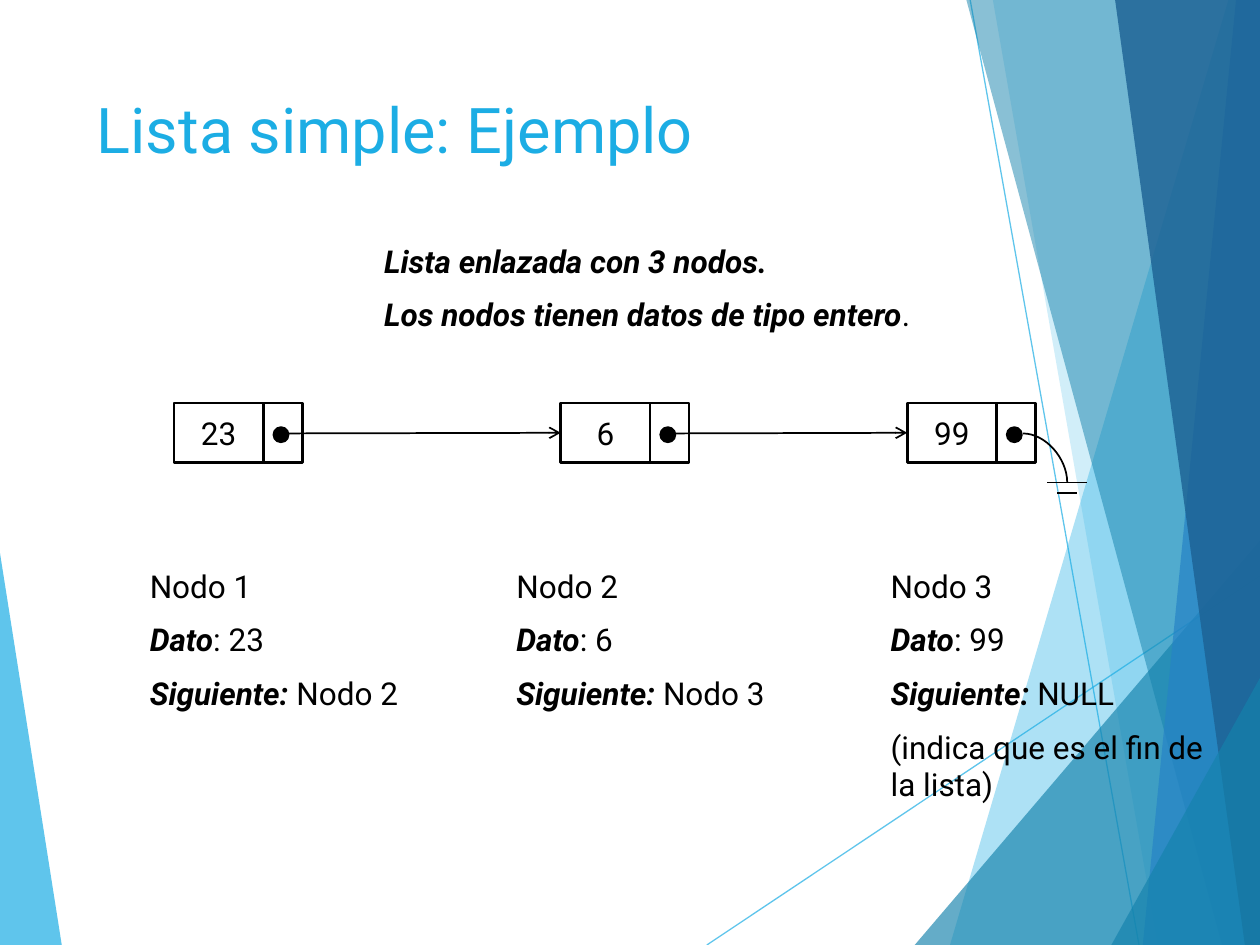
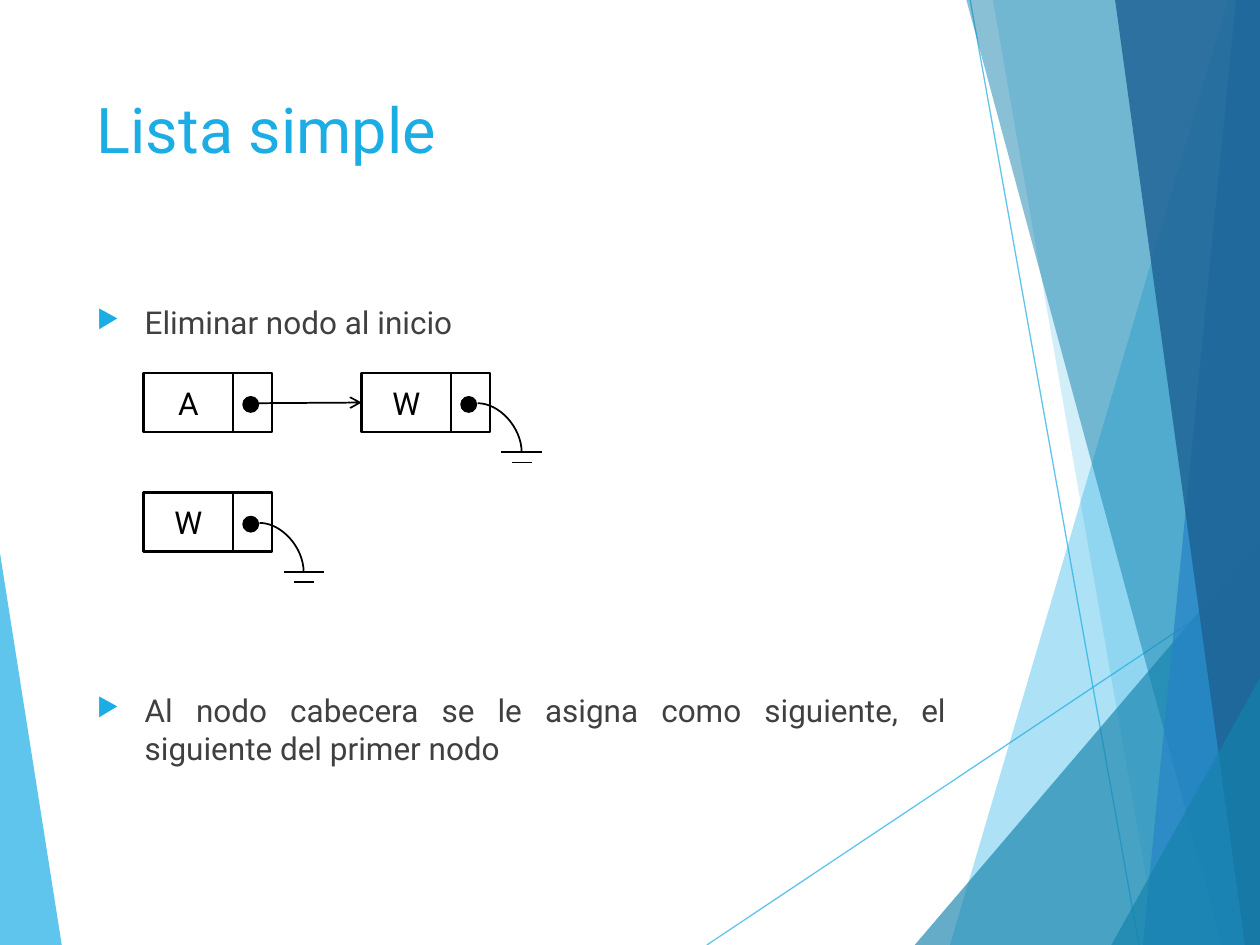
from pptx import Presentation
from pptx.dml.color import RGBColor
from pptx.enum.shapes import MSO_CONNECTOR, MSO_SHAPE
from pptx.enum.text import MSO_ANCHOR, PP_ALIGN
from pptx.oxml.ns import qn
from pptx.util import Inches, Pt
from lxml.etree import SubElement

FONT = "Roboto"
SKY, TEAL, BLUE, NAVY = "1CADE4", "1482AC", "2683C6", "1D6294"
INK, GREY = "000000", "404040"
WIDE, HIGH = 10, 7.5
DATA, LINK, TALL, DOT = 0.71, 0.31, 0.47, 0.12

WEDGE = (SKY, 70, [(0, 4.39), (0.49, HIGH), (0, HIGH)])
RAYS = [((5.61, HIGH), (WIDE, 4.57)), ((7.7, 0), (9.04, HIGH))]
BANDS = [
    (SKY, 36, [(9.75, 0), (7.54, HIGH), (WIDE, HIGH), (WIDE, 0)]),
    (SKY, 20, [(7.88, 0), (9.19, HIGH), (WIDE, HIGH), (WIDE, 0)]),
    (TEAL, 66, [(7.26, HIGH), (WIDE, 4.29), (WIDE, HIGH)]),
    (TEAL, 50, [(7.67, 0), (9.7, HIGH), (WIDE, HIGH), (WIDE, 0)]),
    (BLUE, 70, [(9.81, 0), (9.07, HIGH), (WIDE, HIGH), (WIDE, 0)]),
    (NAVY, 82, [(8.85, 0), (9.88, HIGH), (WIDE, HIGH), (WIDE, 0)]),
    (TEAL, 66, [(8.82, HIGH), (WIDE, 5.38), (WIDE, HIGH)]),
]

INTRO = [
    [("Lista enlazada con 3 nodos.", True)],
    [("Los nodos tienen datos de tipo entero", True), (".", False)],
]
NODES = [
    (1.09, 2.49, "Nodo 1", "23", "Nodo 2", None),
    (4, 2.49, "Nodo 2", "6", "Nodo 3", None),
    (6.97, 2.75, "Nodo 3", "99", "NULL", "(indica que es el fin de la lista)"),
]
SLIDES = [
    {
        "title": "Lista simple: Ejemplo",
        "chains": [(3.2, [(1.38, "23"), (4.45, "6"), (7.2, "99")])],
    },
    {
        "title": "Lista simple",
        "chains": [(2.96, [(1.14, "A"), (2.87, "W")]), (3.91, [(1.14, "W")])],
    },
]
STEPS = [
    "Eliminar nodo al inicio",
    "Al nodo cabecera se le asigna como siguiente, el siguiente del primer nodo",
]


def color(text):
    return RGBColor.from_string(text)


def fade(fill, share):
    tone = next(fill.iter(qn("a:srgbClr")))
    SubElement(tone, qn("a:alpha"), val=str(share * 1000))


def write(para, text, size=18, tone=INK, strong=False):
    run = para.add_run()
    run.text = text
    font = run.font
    font.name, font.size = FONT, Pt(size)
    font.color.rgb = color(tone)
    font.bold = font.italic = strong


def box(slide, left, top, width, height):
    frame = slide.shapes.add_textbox(*map(Inches, (left, top, width, height))).text_frame
    frame.word_wrap = True
    return frame


def paras(frame, count):
    yield frame.paragraphs[0]
    for _ in range(count - 1):
        yield frame.add_paragraph()


def block(slide, place, rows):
    frame = box(slide, *place)
    for para, row in zip(paras(frame, len(rows)), rows):
        para.space_before = Pt(9)
        for text, strong in row:
            write(para, text, strong=strong)


def line(slide, start, end, tone=INK, width=1, kind=MSO_CONNECTOR.STRAIGHT):
    link = slide.shapes.add_connector(kind, *map(Inches, start + end))
    link.line.color.rgb = color(tone)
    link.line.width = Pt(width)
    SubElement(link._element.spPr, qn("a:effectLst"))
    return link


def band(slide, tone, share, points):
    points = [(Inches(x), Inches(y)) for x, y in points]
    pen = slide.shapes.build_freeform(*points[0])
    pen.add_line_segments(points[1:])
    shape = pen.convert_to_shape()
    shape.shadow.inherit = False
    shape.fill.solid()
    shape.fill.fore_color.rgb = color(tone)
    shape.line.fill.background()
    fade(shape._element.spPr, share)


def decor(slide):
    band(slide, *WEDGE)
    for start, end in RAYS:
        ray = line(slide, start, end, SKY, 0.75)
        fade(ray._element.spPr, 70)
    for item in BANDS:
        band(slide, *item)


def cell(slide, kind, place, width, fill=None):
    shape = slide.shapes.add_shape(kind, *map(Inches, place))
    shape.shadow.inherit = False
    shape.line.color.rgb = color(INK)
    shape.line.width = Pt(width)
    if fill:
        shape.fill.solid()
        shape.fill.fore_color.rgb = color(fill)
    else:
        shape.fill.background()
    return shape


def node(slide, x, y, label):
    data = cell(slide, MSO_SHAPE.RECTANGLE, (x, y, DATA, TALL), 1.5)
    frame = data.text_frame
    frame.margin_left = frame.margin_right = 0
    frame.vertical_anchor = MSO_ANCHOR.MIDDLE
    para = frame.paragraphs[0]
    para.alignment = PP_ALIGN.CENTER
    write(para, label)
    cell(slide, MSO_SHAPE.RECTANGLE, (x + DATA, y, LINK, TALL), 1.5)
    cell(slide, MSO_SHAPE.OVAL, (x + 0.79, y + 0.19, DOT, DOT), 1, INK)
    return data


def ground(slide, x, y):
    mid = x + 1.27
    for drop, half in ((0.63, 0.16), (0.71, 0.08)):
        line(slide, (mid - half, y + drop), (mid + half, y + drop))
    bend = line(slide, (x + 0.92, y + 0.24), (mid, y + 0.63), kind=MSO_CONNECTOR.CURVE)
    bend._element.spPr.find(qn("a:prstGeom")).set("prst", "curvedConnector2")


def chain(slide, y, items):
    cells = [node(slide, x, y, label) for x, label in items]
    for (x, _), (far, _), goal in zip(items, items[1:], cells[1:]):
        arrow = line(slide, (x + 0.9, y + 0.24), (far, y + TALL / 2))
        arrow.end_connect(goal, 1)
        SubElement(arrow.line._get_or_add_ln(), qn("a:tailEnd"), type="arrow")
    ground(slide, items[-1][0], y)


def bullet(para):
    para.alignment = PP_ALIGN.JUSTIFY
    props = para._p.get_or_add_pPr()
    props.set("marL", str(Inches(0.38)))
    props.set("indent", str(-Inches(0.38)))
    tint = SubElement(props, qn("a:buClr"))
    SubElement(tint, qn("a:srgbClr"), val=SKY)
    SubElement(props, qn("a:buSzPct"), val="80000")
    SubElement(props, qn("a:buChar"), char="▶")


def notes(slide):
    block(slide, (2.95, 1.87, 4.8, 0.85), INTRO)
    for left, width, name, value, after, extra in NODES:
        rows = [
            [(name, False)],
            [("Dato", True), (": " + value, False)],
            [("Siguiente:", True), (" " + after, False)],
        ]
        if extra:
            rows.append([(extra, False)])
        block(slide, (left, 4.45, width, 2.06 if extra else 1.3), rows)


def steps(slide):
    frame = box(slide, 0.67, 2.36, 6.94, 4.24)
    for para, text, gap in zip(paras(frame, len(STEPS)), STEPS, (0, 200)):
        para.space_before = Pt(gap)
        bullet(para)
        write(para, text, tone=GREY)


def main():
    deck = Presentation()
    deck.slide_width, deck.slide_height = Inches(WIDE), Inches(HIGH)
    for item, body in zip(SLIDES, (notes, steps)):
        slide = deck.slides.add_slide(deck.slide_layouts[6])
        decor(slide)
        title = box(slide, 0.67, 0.67, 6.94, 1.44)
        write(title.paragraphs[0], item["title"], 36, SKY)
        body(slide)
        for y, items in item["chains"]:
            chain(slide, y, items)
    deck.save("out.pptx")


if __name__ == "__main__":
    main()
